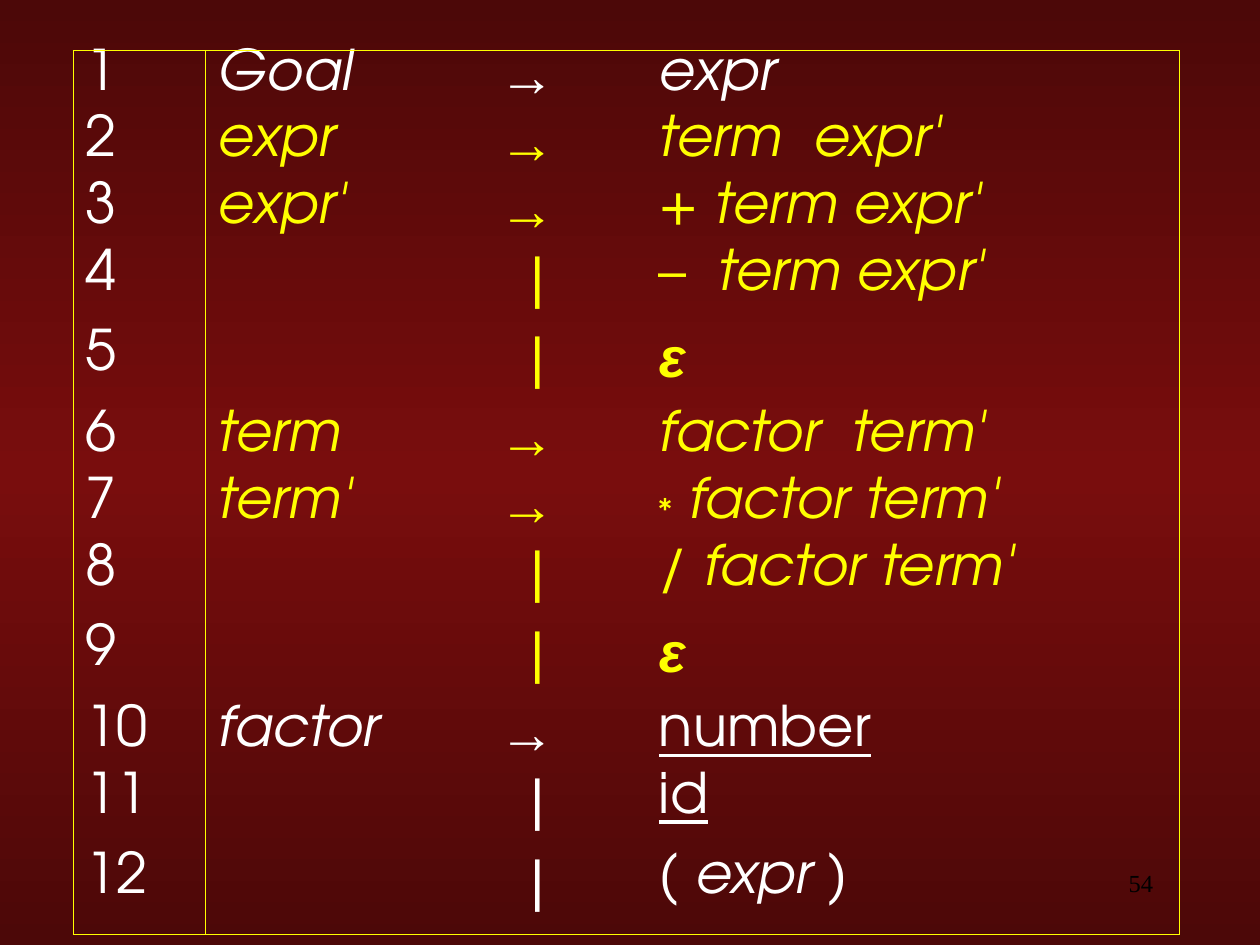
from copy import deepcopy
from typing import NamedTuple

from lxml.etree import SubElement
from pptx import Presentation
from pptx.dml.color import RGBColor
from pptx.enum.text import PP_ALIGN
from pptx.oxml.ns import qn
from pptx.util import Inches, Pt

WHITE = RGBColor(0xFF, 0xFF, 0xFF)
YELLOW = RGBColor(0xFF, 0xFF, 0x00)
BLACK = RGBColor(0x00, 0x00, 0x00)
DARK = RGBColor(0x4C, 0x08, 0x08)
RED = RGBColor(0x79, 0x0D, 0x0D)
MAIN = "TeX Gyre Adventor"
SIGN = "Arial"
NO_STYLE = "{2D5ABB26-0587-4C30-8999-92F81FD0307C}"
COLS = [1.05, 2.23, 1.27, 4.23]
LOW, HIGH = 0.53, 0.64
ARROW, BAR = "→", "|"


class Part(NamedTuple):
    text: str
    bold: bool = False
    ital: bool = False
    under: bool = False
    font: str = MAIN
    base: int = 0


class Rule(NamedTuple):
    left: str
    right: list[Part]
    color: RGBColor = YELLOW
    height: float = LOW


def ital(text: str) -> Part:
    return Part(text, ital=True)


EMPTY = [Part("ε", bold=True, ital=True, font=SIGN)]

# Rules without a left side are alternatives of the rule above
RULES = [
    Rule("Goal", [ital("expr")], WHITE),
    Rule("expr", [ital("term  expr'")]),
    Rule("expr'", [Part("+"), ital(" term expr'")]),
    Rule("", [Part("–"), ital("  term expr'")], height=HIGH),
    Rule("", EMPTY, height=HIGH),
    Rule("term", [ital("factor  term'")]),
    Rule("term'", [Part("*", base=-8000), ital(" factor term'")]),
    Rule("", [Part("∕"), ital(" factor term'")], height=HIGH),
    Rule("", EMPTY, height=HIGH),
    Rule("factor", [Part("number", under=True)], WHITE),
    Rule("", [Part("id", under=True)], WHITE, HIGH),
    Rule("", [Part("( "), ital("expr"), Part(" )")], WHITE, HIGH),
]


def paint(slide) -> None:
    """Three-stop vertical gradient."""
    fill = slide.background.fill
    fill.gradient()
    fill.gradient_angle = 90
    stops = slide._element.find(".//" + qn("a:gsLst"))
    stops.append(deepcopy(stops[-1]))
    for stop, color, pos in zip(fill.gradient_stops, (DARK, RED, DARK), (0, 0.5, 1)):
        stop.color.rgb = color
        stop.position = pos


def write(cell, parts: list[Part], color: RGBColor, indent: float = 0) -> None:
    para = cell.text_frame.paragraphs[0]
    para.line_spacing = 0.8
    if indent:
        props = para._p.get_or_add_pPr()
        props.set("marL", str(Inches(indent)))
        props.set("indent", "0")
    for part in parts:
        run = para.add_run()
        run.text = part.text
        font = run.font
        font.name, font.size = part.font, Pt(32)
        font.bold, font.italic, font.underline = part.bold, part.ital, part.under
        font.color.rgb = color
        if part.base:
            font._element.set("baseline", str(part.base))


def edge(cell, sides: str) -> None:
    """Draw the named sides and clear the others."""
    props = cell._tc.get_or_add_tcPr()
    for side in "LRTB":
        line = SubElement(props, qn(f"a:ln{side}"), w=str(Pt(0.45)))
        if side in sides:
            fill = SubElement(line, qn("a:solidFill"))
            SubElement(fill, qn("a:srgbClr"), val=str(YELLOW))
        else:
            SubElement(line, qn("a:noFill"))
    cell.fill.background()


def add_rules(slide) -> None:
    total = sum(rule.height for rule in RULES)
    frame = slide.shapes.add_table(
        len(RULES), len(COLS), Inches(0.58), Inches(0.4),
        Inches(sum(COLS)), Inches(total))
    table = frame.table
    table.first_row = table.horz_banding = False
    table._tbl.tblPr.find(qn("a:tableStyleId")).text = NO_STYLE
    for col, width in zip(table.columns, COLS):
        col.width = Inches(width)

    for row, rule in enumerate(RULES):
        table.rows[row].height = Inches(rule.height)
        num, left, sign, right = table.rows[row].cells
        write(num, [Part(str(row + 1))], WHITE)
        if rule.left:
            write(left, [ital(rule.left)], rule.color)
            write(sign, [Part(ARROW, bold=True, font=SIGN)], rule.color)
        else:
            write(sign, [Part(BAR, font=SIGN)], rule.color, 0.25)
        write(right, rule.right, rule.color)

        # Outer frame, and a divider after the numbers
        ends = "T" * (row == 0) + "B" * (row == len(RULES) - 1)
        for cell, sides in zip((num, left, sign, right), ("LR", "L", "", "R")):
            edge(cell, sides + ends)


def add_page(slide) -> None:
    box = slide.shapes.add_textbox(Inches(8.25), Inches(6.84), Inches(1), Inches(0.32))
    box.text_frame.word_wrap = True
    para = box.text_frame.paragraphs[0]
    para.text = "54"
    para.alignment = PP_ALIGN.RIGHT
    para.font.name, para.font.size = "Times New Roman", Pt(14)
    para.font.color.rgb = BLACK


def main() -> None:
    deck = Presentation()
    deck.slide_width, deck.slide_height = Inches(10), Inches(7.5)
    slide = deck.slides.add_slide(deck.slide_layouts[6])
    paint(slide)
    add_rules(slide)
    add_page(slide)
    deck.save("out.pptx")


if __name__ == "__main__":
    main()
